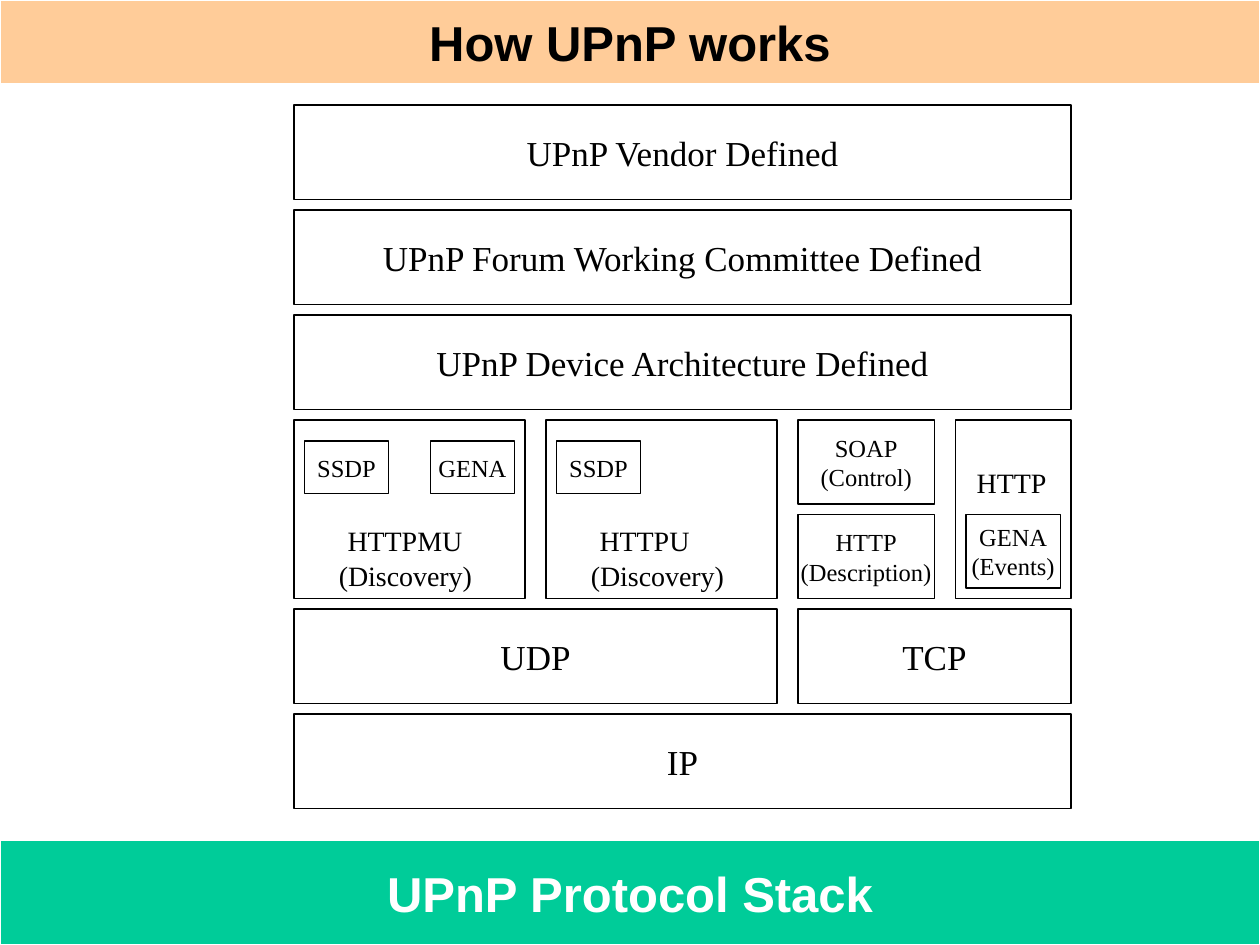
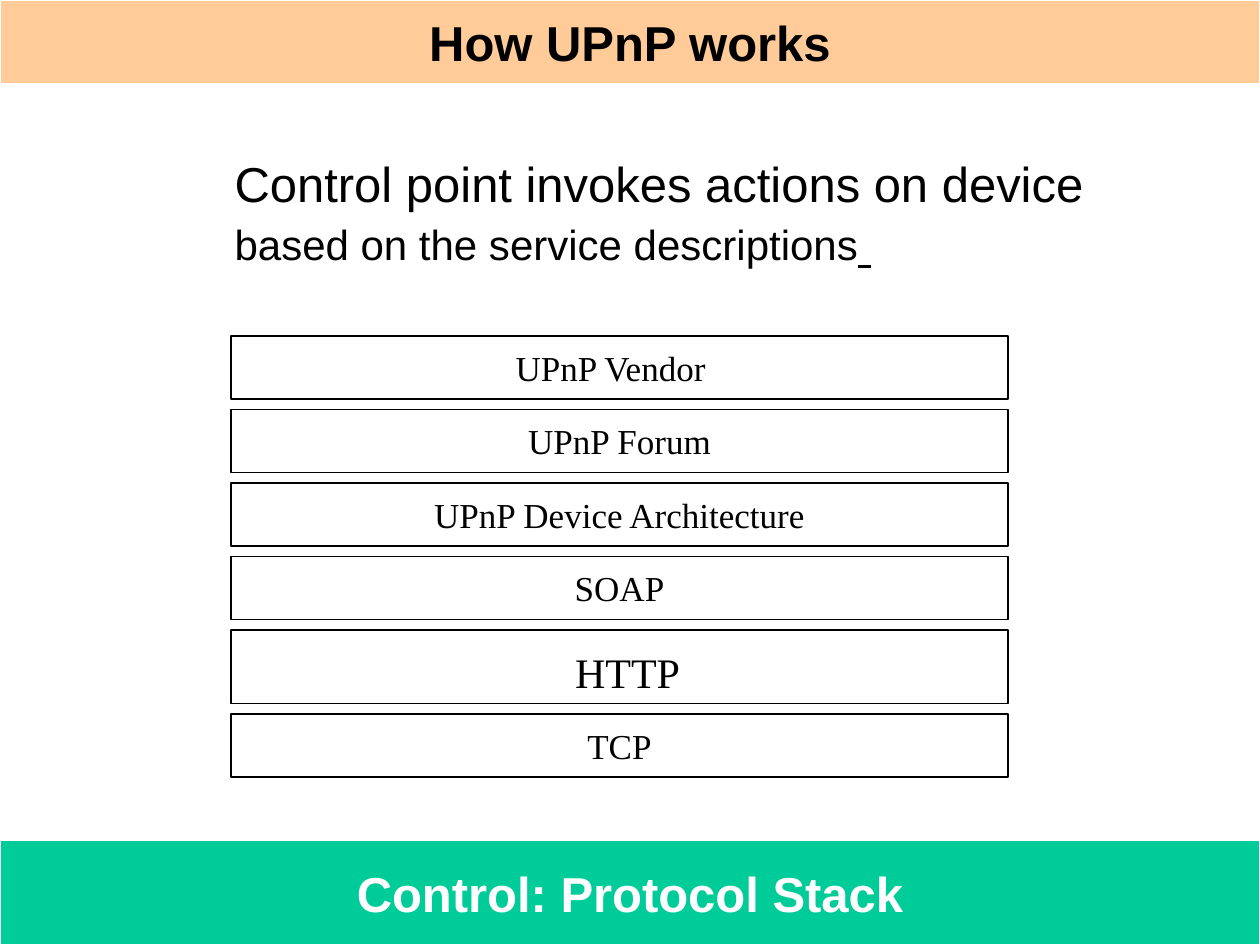
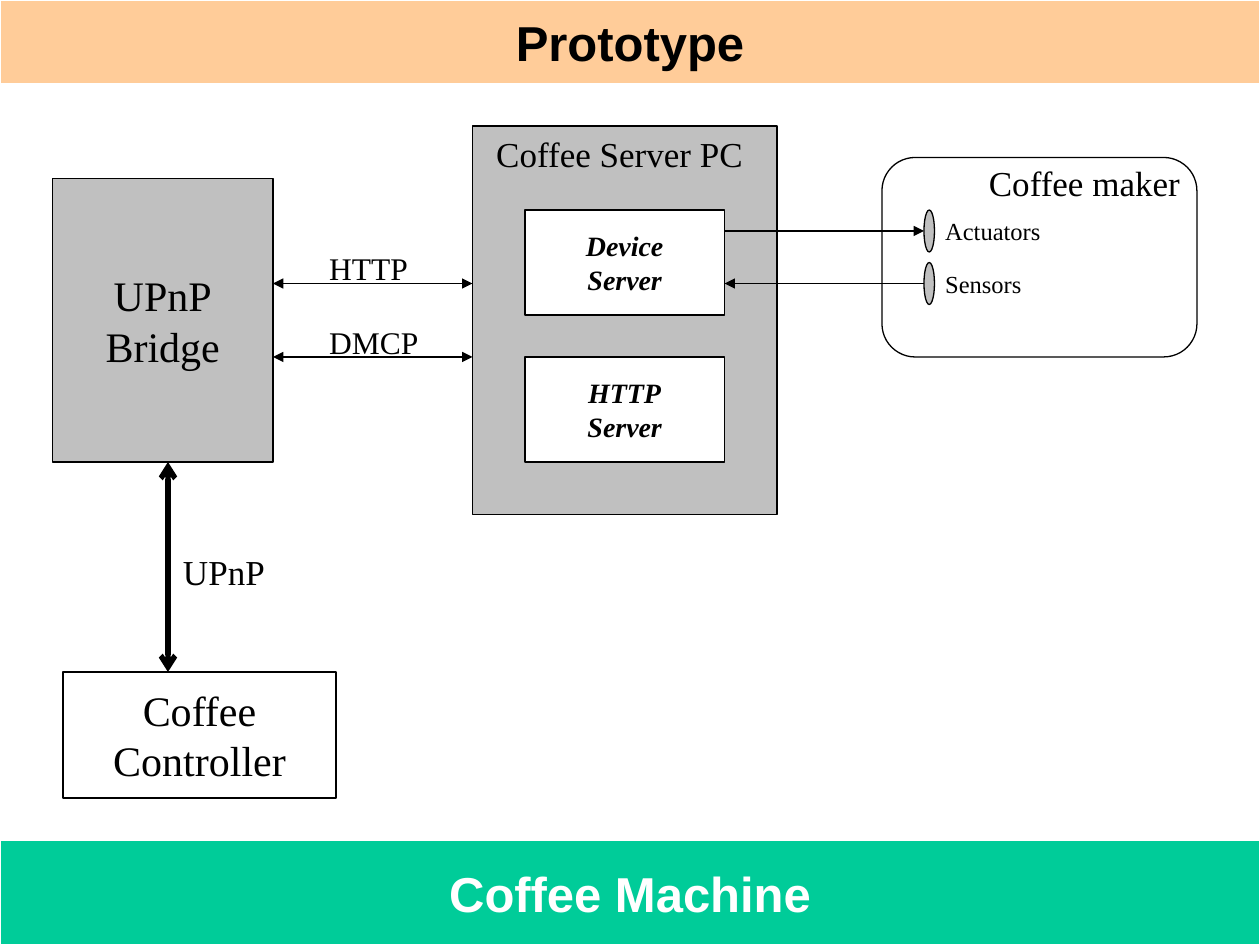
from lxml.etree import SubElement
from pptx import Presentation
from pptx.dml.color import RGBColor
from pptx.enum.shapes import MSO_CONNECTOR, MSO_SHAPE
from pptx.enum.text import MSO_ANCHOR, MSO_AUTO_SIZE, PP_ALIGN
from pptx.oxml.ns import qn
from pptx.util import Pt

COLORS = {
    "ink": "000000",
    "paper": "FFFFFF",
    "title_band": "FFCC99",
    "footer_band": "00CC99",
    "device": "C0C0C0",
}
SERIF, SANS = "Times New Roman", "Arial"
PAGE_WIDTH, PAGE_HEIGHT = 720, 540
TITLE_HEIGHT, FOOTER_TOP = 48, 480
GAP = 6
BAND_TEXT = {"size": 28, "font": SANS, "bold": True}


def color(name):
    return RGBColor.from_string(COLORS[name])


def points(*values):
    return [Pt(value) for value in values]


def write(frame, paragraphs, size=20, font=SERIF, ink="ink", bold=False,
          italic=False, align=PP_ALIGN.CENTER, anchor=MSO_ANCHOR.MIDDLE):
    """Each paragraph is a string or a list of (text, size, underline) spans."""
    frame.word_wrap = False
    frame.vertical_anchor = anchor
    for index, content in enumerate(paragraphs):
        para = frame.add_paragraph() if index else frame.paragraphs[0]
        para.alignment = align
        spans = [(content, size, False)] if isinstance(content, str) else content
        for text, span_size, underline in spans:
            span = para.add_run()
            span.text = text
            span.font.size = Pt(span_size)
            span.font.name = font
            span.font.bold = bold
            span.font.italic = italic
            span.font.underline = underline
            span.font.color.rgb = color(ink)


def paint(shape, fill, line):
    shape.fill.solid()
    shape.fill.fore_color.rgb = color(fill)
    shape.line.color.rgb = color(line)
    shape.line.width = Pt(0.75)


def add_box(page, place, *paragraphs, fill="paper", line="ink",
            kind=MSO_SHAPE.RECTANGLE, **text_format):
    box = page.shapes.add_shape(kind, *points(*place))
    box.shadow.inherit = False
    paint(box, fill, line)
    write(box.text_frame, paragraphs, **text_format)
    return box


def add_label(page, place, *paragraphs, **text_format):
    frame = page.shapes.add_textbox(*points(*place)).text_frame
    write(frame, paragraphs, align=PP_ALIGN.LEFT, anchor=MSO_ANCHOR.TOP, **text_format)
    frame.auto_size = MSO_AUTO_SIZE.SHAPE_TO_FIT_TEXT


def add_arrow(page, start, end, width=0.75, tip="triangle", both_ends=False):
    arrow = page.shapes.add_connector(MSO_CONNECTOR.STRAIGHT, *points(*start, *end))
    arrow.line.color.rgb = color("ink")
    arrow.line.width = Pt(width)
    properties = arrow.element.find(qn("p:spPr"))
    outline = properties.find(qn("a:ln"))
    for tag in ("a:headEnd", "a:tailEnd") if both_ends else ("a:tailEnd",):
        SubElement(outline, qn(tag), type=tip)
    SubElement(properties, qn("a:effectLst"))


def add_page(deck, title, footer):
    page = deck.slides.add_slide(deck.slide_layouts[5])
    add_box(page, (0, FOOTER_TOP, PAGE_WIDTH, PAGE_HEIGHT - FOOTER_TOP), footer,
            fill="footer_band", line="paper", ink="paper", **BAND_TEXT)
    heading = page.shapes.title
    heading.left, heading.top, heading.width, heading.height = points(
        0, 0, PAGE_WIDTH, TITLE_HEIGHT)
    paint(heading, "title_band", "paper")
    heading.text_frame.auto_size = MSO_AUTO_SIZE.NONE
    write(heading.text_frame, [title], **BAND_TEXT)
    return page


def indented(text):
    return [(" ", 20, False), (text, 16, False)]


def add_protocol_stack(deck):
    page = add_page(deck, "How UPnP works", "UPnP Protocol Stack")
    left, width, height = 168, 444, 54
    layers = ("UPnP Vendor Defined", "UPnP Forum Working Committee Defined",
              "UPnP Device Architecture Defined")
    for index, layer in enumerate(layers):
        add_box(page, (left, 60 + index * (height + GAP), width, height), layer)

    for column, name, parts in ((168, "HTTPMU", ("SSDP", "GENA")),
                                (312, "HTTPU", ("SSDP",))):
        add_box(page, (column, 240, 132, 102))
        add_label(page, (column + 18.5, 291.5, 95, 50), indented(name),
                  "(Discovery)", size=16)
        for index, part in enumerate(parts):
            add_box(page, (column + 6 + 72 * index, 252, 48, 30), part, size=14)

    for top, name, role in ((240, "SOAP", "(Control)"), (294, "HTTP", "(Description)")):
        add_box(page, (456, top, 78, 48), name, role, size=14)
    add_box(page, (546, 240, 66, 102))
    add_label(page, (546, 258.5, 64, 32), indented("HTTP"))
    add_box(page, (552, 294, 54, 42), "GENA", "(Events)", size=14)

    add_box(page, (left, 348, 276, height), "UDP")
    add_box(page, (456, 348, 156, height), "TCP")
    add_box(page, (left, 408, width, height), "IP")


def add_control_stack(deck):
    page = add_page(deck, "How UPnP works", "Control: Protocol Stack")
    add_label(page, (127, 84, 510, 75), "Control point invokes actions on device",
              [("based on the service descriptions", 24, False), (" ", 28, True)],
              size=28, font=SANS)
    layers = (("UPnP Vendor", 36), ("UPnP Forum", 36), ("UPnP Device Architecture", 36),
              ("SOAP", 36), ("HTTP", 42), ("TCP", 36))
    top = 192
    for layer, height in layers:
        place = (132, top, 444, height)
        if layer == "HTTP":
            add_box(page, place)
            add_label(page, (321.5, top + 6, 82, 36), layer, size=24)
        else:
            box = add_box(page, place, layer)
            if layer == "UPnP Vendor":
                box.text_frame.margin_right = Pt(17.2)
        top += height + GAP


def add_prototype(deck):
    page = add_page(deck, "Prototype", "Coffee Machine")
    add_box(page, (504, 90, 180, 114), kind=MSO_SHAPE.ROUNDED_RECTANGLE)
    add_box(page, (270, 72, 174, 222), fill="device")
    add_label(page, (276.5, 72, 160, 32), "Coffee Server PC")
    for top, name in ((120, "Device"), (204, "HTTP")):
        add_box(page, (300, top, 114, 60), name, "Server", size=16, bold=True, italic=True)

    for top, name, width in ((120, "Actuators", 73), (150, "Sensors", 62)):
        add_box(page, (528, top, 6, 24), fill="device", kind=MSO_SHAPE.OVAL)
        add_label(page, (533, top, width, 24), name, size=14)
    add_arrow(page, (414, 132), (528, 132))
    add_arrow(page, (528, 162), (414, 162))
    add_label(page, (558, 88.5, 128, 32), "Coffee maker")

    add_box(page, (30, 102, 126, 162), "UPnP", "Bridge", fill="device", size=24)
    for level, name, width in ((162, "HTTP", 65), (204, "DMCP", 71)):
        add_arrow(page, (156, level), (270, level), both_ends=True)
        add_label(page, (181, level - 23, width, 29), name, size=18)

    add_box(page, (36, 384, 156, 72), "Coffee", "Controller", size=24)
    add_arrow(page, (96, 264), (96, 384), width=3, tip="arrow", both_ends=True)
    add_label(page, (97.5, 311, 66, 32), "UPnP")


def main():
    deck = Presentation()
    deck.slide_width, deck.slide_height = points(PAGE_WIDTH, PAGE_HEIGHT)
    add_protocol_stack(deck)
    add_control_stack(deck)
    add_prototype(deck)
    deck.save("out.pptx")


if __name__ == "__main__":
    main()
